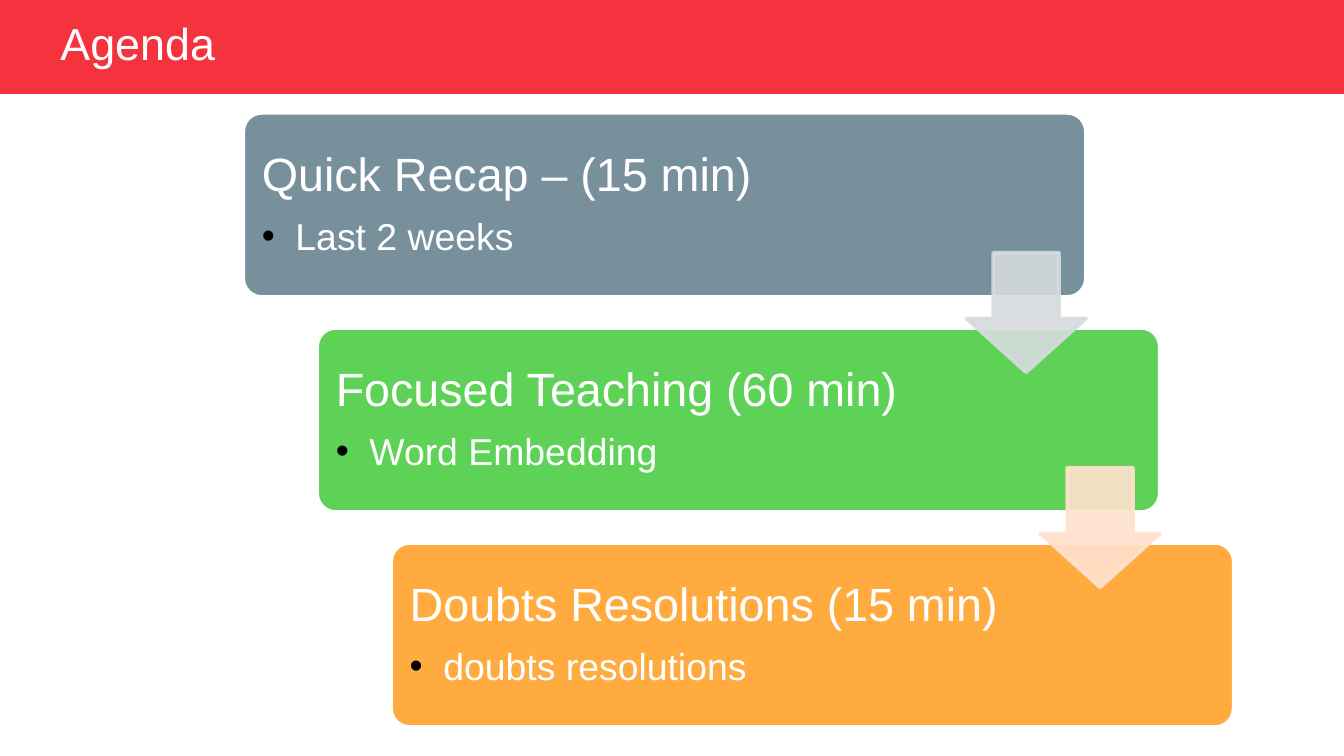
from dataclasses import dataclass

from lxml import etree
from pptx import Presentation
from pptx.dml.color import RGBColor
from pptx.enum.shapes import MSO_SHAPE
from pptx.enum.text import MSO_ANCHOR, PP_ALIGN
from pptx.oxml.ns import qn
from pptx.util import Inches, Pt

RECTANGLE = MSO_SHAPE.RECTANGLE
ROUNDED = MSO_SHAPE.ROUNDED_RECTANGLE
DOWN_ARROW = MSO_SHAPE.DOWN_ARROW
MIDDLE = MSO_ANCHOR.MIDDLE
LEFT = PP_ALIGN.LEFT

FONT = "Arial"
WHITE = "FFFFFF"
SLIDE_WIDTH = 10
SLIDE_HEIGHT = SLIDE_WIDTH * 9 / 16

# Staircase grid, in inches: each step moves one column right and one row down
COLUMN, ROW = 0.55, 1.6
CARD_LEFT, CARD_TOP, CARD_WIDTH, CARD_HEIGHT = 1.81, 0.84, 6.27, 1.37
ARROW_LEFT, ARROW_TOP, ARROW_SIZE = 7.19, 1.88, 0.89
CARD_PADDING = 0.04
TEXT_WIDTH = 4.75


@dataclass
class Step:
    heading: str
    detail: str
    color: str
    arrow_color: str = ""


STEPS = [
    Step("Quick Recap – (15 min)", "Last 2 weeks", "78909C", "D6DBDE"),
    Step("Focused Teaching (60 min)", "Word Embedding", "5ED257", "FFE2CE"),
    Step("Doubts Resolutions (15 min)", "doubts resolutions", "FFAB40"),
]


def paint(fill, color: str, opacity: int = 100) -> None:
    fill.solid()
    fill.fore_color.rgb = RGBColor.from_string(color)
    if opacity < 100:
        for tag in fill._xPr.find(qn("a:solidFill")):
            etree.SubElement(tag, qn("a:alpha"), val=str(opacity * 1000))


def add_block(slide, kind, left: float, top: float, width: float, height: float,
              color: str, line: str = "", adjustments: tuple = (), opacity: int = 100):
    block = slide.shapes.add_shape(
        kind, Inches(left), Inches(top), Inches(width), Inches(height))
    block.shadow.inherit = False
    for index, value in enumerate(adjustments):
        block.adjustments[index] = value
    paint(block.fill, color, opacity)
    if line:
        block.line.width = Pt(2)
        paint(block.line.fill, line, opacity)
    else:
        block.line.fill.background()
    return block


def write(para, text: str, *, size: float, color: str = WHITE,
          space_after: float = 0, bullet: bool = False) -> None:
    para.alignment = LEFT
    para.line_spacing = 0.9
    para.space_before = Pt(0)
    para.space_after = Pt(space_after)
    span = para.add_run()
    span.text = text
    span.font.name = FONT
    span.font.size = Pt(size)
    span.font.color.rgb = RGBColor.from_string(color)
    if bullet:
        para.level = 1
        properties = para._p.get_or_add_pPr()
        properties.set("marL", str(Inches(0.25)))
        properties.set("indent", str(-Inches(0.25)))
        bullet_color = etree.SubElement(properties, qn("a:buClr"))
        etree.SubElement(bullet_color, qn("a:srgbClr"), val="000000")
        etree.SubElement(properties, qn("a:buFont"), typeface=FONT)
        etree.SubElement(properties, qn("a:buChar"), char="•")


def add_header(slide, text: str) -> None:
    band = add_block(slide, RECTANGLE, 0, 0, SLIDE_WIDTH, 0.7, "F5333F")
    slide.shapes._spTree.insert(2, band._element)  # behind the title
    title = slide.shapes.title
    title.left, title.top = Inches(0.35), Inches(0.13)
    title.width, title.height = Inches(8.32), Inches(0.42)
    title.text_frame.vertical_anchor = MIDDLE
    write(title.text_frame.paragraphs[0], text, size=24)


def add_card(slide, step: Step, index: int) -> None:
    left, top = CARD_LEFT + index * COLUMN, CARD_TOP + index * ROW
    add_block(slide, ROUNDED, left, top, CARD_WIDTH, CARD_HEIGHT,
              step.color, line=WHITE, adjustments=(0.1,))
    box = slide.shapes.add_textbox(
        Inches(left + CARD_PADDING), Inches(top + CARD_PADDING),
        Inches(TEXT_WIDTH), Inches(CARD_HEIGHT - 2 * CARD_PADDING))
    frame = box.text_frame
    frame.word_wrap = True
    frame.vertical_anchor = MIDDLE
    frame.margin_left = frame.margin_right = Inches(0.1)
    frame.margin_top = frame.margin_bottom = Inches(0.1)
    write(frame.paragraphs[0], step.heading, size=25, space_after=8.75)
    write(frame.add_paragraph(), step.detail, size=20, space_after=3, bullet=True)


def add_arrow(slide, step: Step, index: int) -> None:
    add_block(slide, DOWN_ARROW, ARROW_LEFT + index * COLUMN, ARROW_TOP + index * ROW,
              ARROW_SIZE, ARROW_SIZE, step.arrow_color, line=step.arrow_color,
              adjustments=(0.55, 0.45), opacity=90)


def main() -> None:
    deck = Presentation()
    deck.slide_width, deck.slide_height = Inches(SLIDE_WIDTH), Inches(SLIDE_HEIGHT)
    page = deck.slides.add_slide(deck.slide_layouts[TITLE_ONLY])

    add_header(page, "Agenda")
    # Cards first, so that the arrows overlap them
    for index, step in enumerate(STEPS):
        add_card(page, step, index)
    for index, step in enumerate(STEPS):
        if step.arrow_color:
            add_arrow(page, step, index)

    deck.save("out.pptx")


TITLE_ONLY = 5

if __name__ == "__main__":
    main()
